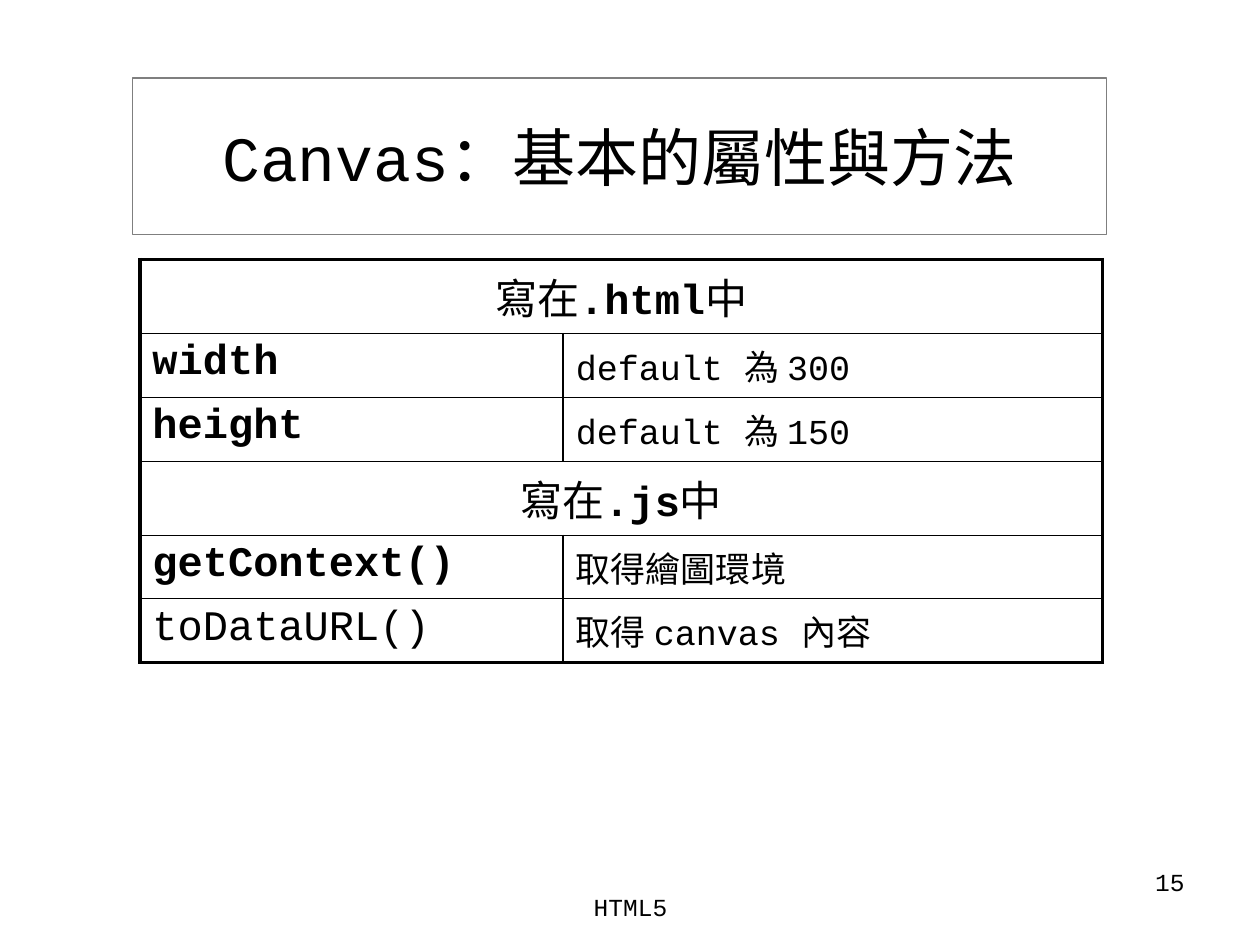
"""Build the slide on basic canvas attributes and methods."""
from lxml.etree import SubElement
from pptx import Presentation
from pptx.dml.color import RGBColor
from pptx.enum.text import MSO_ANCHOR, PP_ALIGN
from pptx.oxml.ns import qn
from pptx.util import Inches, Pt

COLORS = {"text": "000000", "frame": "7F7F7F"}
FONT = "Courier New"


def style_font(font, size, bold=False):
    font.name = FONT
    font.size = Pt(size)
    font.bold = bold
    font.color.rgb = RGBColor.from_string(COLORS["text"])


def add_border(cell, side, width):
    properties = cell._tc.get_or_add_tcPr()
    line = SubElement(properties, qn(f"a:ln{side}"), w=str(Pt(width)))
    fill = SubElement(line, qn("a:solidFill"))
    SubElement(fill, qn("a:srgbClr"), val=COLORS["text"])


deck = Presentation()
deck.slide_width, deck.slide_height = Inches(10), Inches(7.5)
page = deck.slides.add_slide(deck.slide_layouts[5])

title = page.shapes.title
title.left, title.top = Inches(1.05), Inches(0.62)
title.width, title.height = Inches(7.73), Inches(1.24)
title.line.color.rgb = RGBColor.from_string(COLORS["frame"])
title.line.width = Pt(0.75)
title.text_frame.text = "Canvas：基本的屬性與方法"
title.text_frame.vertical_anchor = MSO_ANCHOR.MIDDLE
title.text_frame.paragraphs[0].alignment = PP_ALIGN.CENTER
style_font(title.text_frame.paragraphs[0].font, 36)

sections = [
    (".html", [("width", "default 為 300", True),
               ("height", "default 為 150", True)]),
    (".js", [("getContext()", "取得繪圖環境", True),
             ("toDataURL()", "取得 canvas 內容", False)]),
]
row_count = sum(1 + len(members) for _, members in sections)
table = page.shapes.add_table(row_count, 2, Inches(1.11), Inches(2.06),
                              Inches(7.64), Inches(0.5 * row_count)).table
table.first_row = table.horz_banding = False
table.columns[0].width, table.columns[1].width = Inches(3.36), Inches(4.28)

for row in range(row_count):
    for column in range(2):
        cell = table.cell(row, column)
        outer_sides = {"L": column == 0, "R": column == 1,
                       "T": row == 0, "B": row == row_count - 1}
        for side, is_outer in outer_sides.items():
            add_border(cell, side, 2.25 if is_outer else 1)
        cell.fill.background()

row = 0
for file_type, members in sections:
    heading = table.cell(row, 0)
    heading.merge(table.cell(row, 1))
    for side in "LR":
        heading._tc.tcPr.find(qn(f"a:ln{side}")).set("w", str(Pt(2.25)))
    para = heading.text_frame.paragraphs[0]
    para.alignment = PP_ALIGN.CENTER
    for text in ("寫在", file_type, "中"):
        span = para.add_run()
        span.text = text
        style_font(span.font, 24, text == file_type)
    for row, (name, meaning, bold) in enumerate(members, row + 1):
        for column, text, size, weight in ((0, name, 24, bold), (1, meaning, 20, False)):
            cell = table.cell(row, column)
            cell.text = text
            style_font(cell.text_frame.paragraphs[0].font, size, weight)
    row += 1

footers = [
    ("15", 7.17, 6.83, 2.33, 0.52, PP_ALIGN.RIGHT),
    ("HTML5", 3.42, 7.03, 3.17, 0.5, PP_ALIGN.CENTER),
]
for text, left, top, width, height, alignment in footers:
    box = page.shapes.add_textbox(Inches(left), Inches(top), Inches(width), Inches(height))
    box.text_frame.word_wrap = True
    para = box.text_frame.paragraphs[0]
    para.text = text
    para.alignment = alignment
    style_font(para.font, 14)

deck.save("out.pptx")
